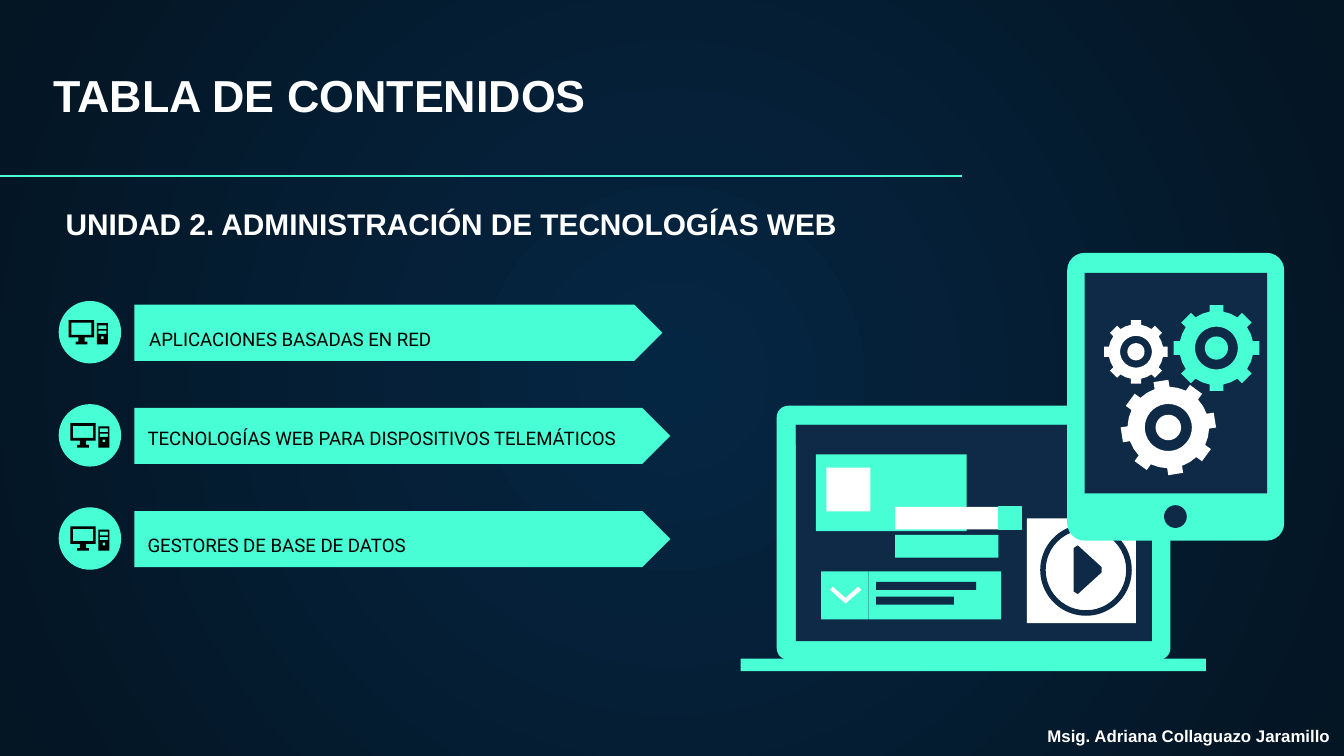
from math import cos, sin, radians
from pptx import Presentation
from pptx.dml.color import RGBColor
from pptx.enum.shapes import MSO_CONNECTOR, MSO_SHAPE as Kind
from pptx.enum.text import MSO_ANCHOR as Anchor, PP_ALIGN as Align
from pptx.oxml.ns import qn
from pptx.util import Cm, Pt
from lxml import etree

COLORS = {
    "mint": "48FFD5", "navy": "0E2A47", "white": "FFFFFF", "black": "000000",
    "center": "052643", "edge": "041523",
}
HEX = {name: RGBColor.from_string(value) for name, value in COLORS.items()}

prs = Presentation()
prs.slide_width, prs.slide_height = Cm(25.4), Cm(14.29)
slide = prs.slides.add_slide(prs.slide_layouts[6])
shapes = slide.shapes

backdrop = slide.background.fill
backdrop.gradient()
for stop, name in zip(backdrop.gradient_stops, ("center", "edge")):
    stop.color.rgb = HEX[name]
gradient = slide.element.find(".//" + qn("a:gradFill"))
gradient.remove(gradient.find(qn("a:lin")))
radial = etree.SubElement(gradient, qn("a:path"), path="circle")
etree.SubElement(radial, qn("a:fillToRect"), l="50000", t="50000", r="50000", b="50000")


def draw(outline, color, box=None, adjust=None):
    if box:
        part = shapes.add_shape(outline, *map(Cm, box))
    else:
        contours = [[(Cm(x), Cm(y)) for x, y in contour] for contour in outline]
        builder = shapes.build_freeform(*contours[0][0])
        builder.add_line_segments(contours[0][1:])
        for contour in contours[1:]:
            builder.move_to(*contour[0])
            builder.add_line_segments(contour[1:])
        part = builder.convert_to_shape()
    if adjust is not None:
        part.adjustments[0] = adjust
    part.shadow.inherit = False
    part.fill.solid()
    part.fill.fore_color.rgb = HEX[color]
    part.line.fill.background()
    return part


def write(text, box, size, font, color, anchor, inset, align=Align.LEFT, bold=False):
    frame = shapes.add_textbox(*map(Cm, box)).text_frame
    frame.word_wrap = True
    frame.vertical_anchor = anchor
    frame.margin_left = frame.margin_right = Cm(0.25)
    frame.margin_top = frame.margin_bottom = Cm(inset)
    frame.text = text
    paragraph = frame.paragraphs[0]
    paragraph.alignment = align
    style = paragraph.runs[0].font
    style.size, style.name, style.bold = Pt(size), font, bold
    style.color.rgb = HEX[color]


write("TABLA DE CONTENIDOS", (0.76, 0.69, 23.88, 2.21), 24, "Arial", "white",
      Anchor.MIDDLE, 0.25, bold=True)

divider = shapes.add_connector(MSO_CONNECTOR.STRAIGHT, 0, Cm(3.33), Cm(18.19), Cm(3.33))
divider.line.color.rgb = HEX["mint"]
divider.line.width = Pt(0.75)
etree.SubElement(divider._element.spPr, qn("a:effectLst"))

write("UNIDAD 2. ADMINISTRACIÓN DE TECNOLOGÍAS WEB", (0.99, 3.76, 17.4, 0.94), 16,
      "Arial", "white", Anchor.TOP, 0.13, bold=True)

monitor = [
    [(0, 0), (0.48, 0), (0.48, 0.33), (0.3, 0.33), (0.3, 0.41), (0.35, 0.41),
     (0.35, 0.46), (0.13, 0.46), (0.13, 0.41), (0.18, 0.41), (0.18, 0.33), (0, 0.33)],
    [(0.05, 0.05), (0.43, 0.05), (0.43, 0.28), (0.05, 0.28)],
]
tower = [
    [(left, top), (right, top), (right, bottom), (left, bottom)]
    for left, top, right, bottom in (
        (0.53, 0.06, 0.74, 0.46), (0.56, 0.1, 0.71, 0.17),
        (0.56, 0.2, 0.71, 0.26), (0.61, 0.31, 0.66, 0.36))
]
topics = [
    ("APLICACIONES BASADAS EN RED", 9.98, 2.57, 6.83, 1.3),
    ("TECNOLOGÍAS WEB PARA DISPOSITIVOS TELEMÁTICOS", 10.13, 2.54, 8.71, 1.33),
    ("GESTORES DE BASE DE DATOS", 10.13, 2.54, 10.72, 1.33),
]
for row, (topic, banner_width, text_left, text_bottom, icon_left) in enumerate(topics):
    top = 5.69 + 1.95 * row
    draw(Kind.PENTAGON, "mint", (2.54, top + 0.07, banner_width, 1.06), 0.5)
    write(topic, (text_left, text_bottom - 1, 9.98, 1), 10, "Roboto", "black",
          Anchor.BOTTOM, 0.25)
    draw(Kind.OVAL, "mint", (1.11, top, 1.18, 1.18))
    for device in (monitor, tower):
        draw([[(icon_left + x, top + 0.36 + y) for x, y in contour] for contour in device],
             "black")

laptop = [
    (Kind.ROUNDED_RECTANGLE, "mint", (14.68, 7.67, 7.44, 4.8), 0.045),
    (Kind.RECTANGLE, "navy", (15.04, 8.03, 6.73, 4.09)),
    (Kind.RECTANGLE, "mint", (14, 12.45, 8.79, 0.24)),
    (Kind.RECTANGLE, "navy", (15.04, 8.03, 6.73, 0.38)),
    (Kind.RECTANGLE, "mint", (15.42, 8.59, 2.85, 1.45)),
    (Kind.RECTANGLE, "white", (15.62, 8.84, 0.83, 0.83)),
    (Kind.RECTANGLE, "mint", (16.41, 10.8, 2.51, 0.91)),
    (Kind.RECTANGLE, "navy", (16.56, 11, 1.89, 0.15)),
    (Kind.RECTANGLE, "navy", (16.56, 11.28, 1.47, 0.15)),
    (Kind.RECTANGLE, "mint", (15.52, 10.8, 0.89, 0.91)),
    (Kind.RECTANGLE, "mint", (16.92, 10.11, 1.95, 0.43)),
    (Kind.RECTANGLE, "white", (16.92, 9.58, 1.95, 0.43)),
]
for part in laptop:
    kind, color, box, *corner = part
    draw(kind, color, box, *corner)

search_button = draw(Kind.RECTANGLE, "mint", (18.87, 9.58, 0.43, 0.43))
search_button.line.color.rgb = HEX["mint"]
search_button.line.width = Pt(0.75)

draw([[(15.69, 11.15), (15.74, 11.09), (15.98, 11.3), (16.22, 11.09),
       (16.28, 11.15), (15.98, 11.41)]], "white")
draw(Kind.RECTANGLE, "white", (19.41, 9.8, 2.06, 1.98))
draw(Kind.DONUT, "navy", (19.66, 9.91, 1.73, 1.73), 0.06)
draw([[(20.29, 10.36), (20.37, 10.31), (20.82, 10.72), (20.82, 10.82),
       (20.37, 11.23), (20.29, 11.18)]], "navy")

draw(Kind.ROUNDED_RECTANGLE, "mint", (20.17, 4.78, 4.1, 5.44), 0.08)
draw(Kind.RECTANGLE, "navy", (20.5, 5.16, 3.45, 4.17))
draw(Kind.OVAL, "navy", (22, 9.55, 0.43, 0.43))

gears = [
    (22.99, 6.58, 0.81, 0, "mint"),
    (21.47, 6.65, 0.6, 0, "white"),
    (22.08, 8.08, 0.89, -9, "white"),
]
tooth = [(0.85, -0.16), (1, -0.16), (1, 0.16), (0.85, 0.16), (0.8, 0.33)]
for center_x, center_y, radius, tilt, color in gears:
    rim = []
    for step in range(8):
        turn = radians(45 * step + tilt)
        rim += [(center_x + radius * (u * cos(turn) - v * sin(turn)),
                 center_y + radius * (u * sin(turn) + v * cos(turn))) for u, v in tooth]
    rings = [
        [(center_x + radius * ratio * cos(radians(10 * step)),
          center_y + radius * ratio * sin(radians(10 * step))) for step in range(36)]
        for ratio in (0.5, 0.27)
    ]
    draw([rim, *rings], color)

write("Msig. Adriana Collaguazo Jaramillo", (17.73, 13.59, 7.65, 0.64), 9, "Arial",
      "white", Anchor.TOP, 0.13, Align.RIGHT, True)

prs.save("out.pptx")
